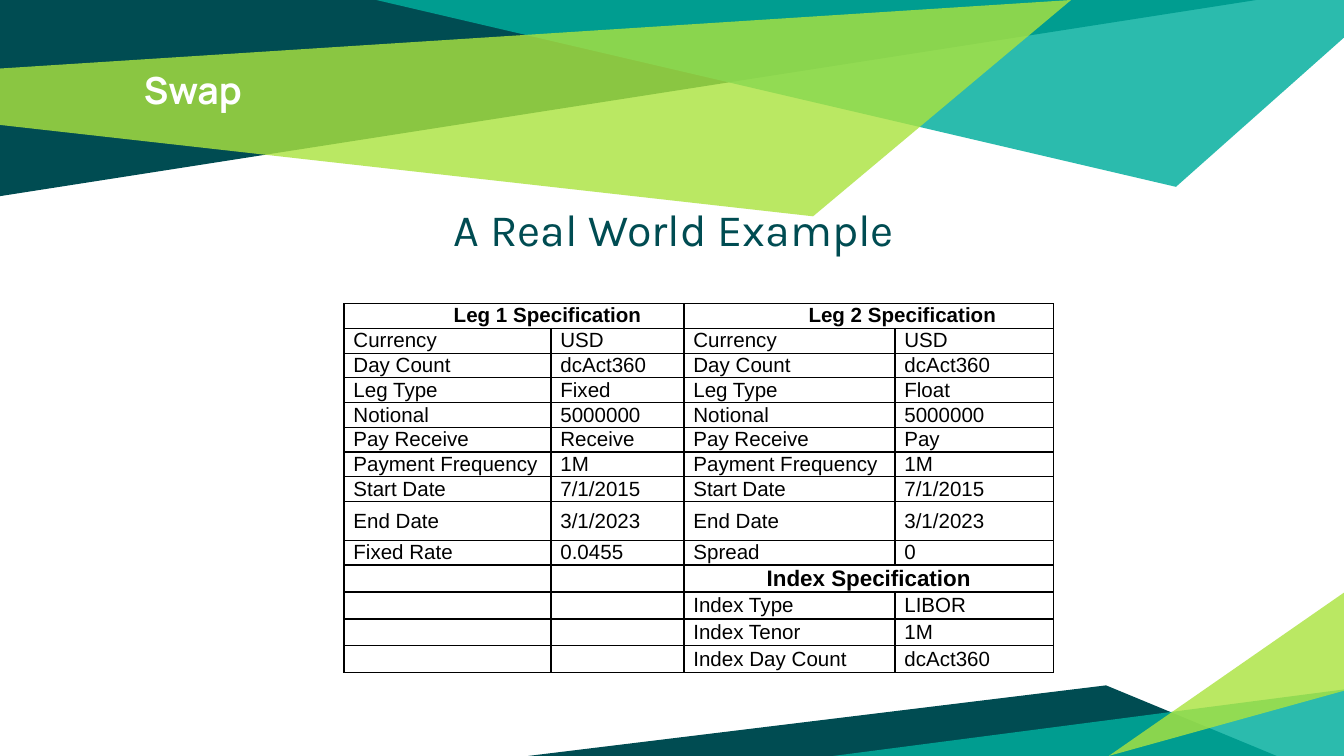
from lxml import etree
from pptx import Presentation
from pptx.dml.color import RGBColor
from pptx.enum.text import MSO_ANCHOR, PP_ALIGN
from pptx.oxml.ns import qn
from pptx.util import Inches, Pt

LEFT, CENTER = PP_ALIGN.LEFT, PP_ALIGN.CENTER
TOP, MIDDLE = MSO_ANCHOR.TOP, MSO_ANCHOR.MIDDLE
BLACK = RGBColor(0x00, 0x00, 0x00)
WHITE = RGBColor(0xFF, 0xFF, 0xFF)
DARK = RGBColor(0x00, 0x4C, 0x52)
TEAL = RGBColor(0x00, 0xAE, 0x9D)
LIME = RGBColor(0xAB, 0xE3, 0x3F)

W = 10
H = W * 9 / 16
prs = Presentation()
prs.slide_width, prs.slide_height = Inches(W), Inches(H)
s = prs.slides.add_slide(prs.slide_layouts[5])


def add_run(p, text, font, size, color, bold=False):
    r = p.add_run()
    r.text = text
    r.font.name, r.font.size, r.font.bold = font, Pt(size), bold
    r.font.color.rgb = color


def set_borders(cell):
    """Draw a thin black line on all four sides of the cell."""
    tcPr = cell._tc.get_or_add_tcPr()
    for i, side in enumerate(("a:lnL", "a:lnR", "a:lnT", "a:lnB")):
        ln = etree.Element(qn(side), w=str(Pt(0.75)))
        fill = etree.SubElement(ln, qn("a:solidFill"))
        etree.SubElement(fill, qn("a:srgbClr"), val=str(BLACK))
        tcPr.insert(i, ln)


# Decorative bands: colour, opacity in percent, corners
bands = [
    (DARK, 100, [(0, 0), (0, 1.46), (9.35, 0)]),
    (TEAL, 83, [(2.8, 0), (8.75, 1.39), (W, 0.28), (W, 0)]),
    (LIME, 81, [(0, 0.51), (0, 0.93), (6.05, 1.61), (7.97, 0)]),
    (DARK, 100, [(3.93, H), (9.5, H), (8.23, 5.1)]),
    (TEAL, 83, [(W, 5.13), (W, H), (6.2, H)]),
    (LIME, 81, [(W, 5.14), (W, 4.41), (8.25, H)]),
]
for color, opacity, corners in bands:
    points = [(Inches(x), Inches(y)) for x, y in corners]
    builder = s.shapes.build_freeform(*points[0])
    builder.add_line_segments(points[1:], close=True)
    sp = builder.convert_to_shape()
    sp.shadow.inherit = False
    sp.line.fill.background()
    sp.fill.solid()
    sp.fill.fore_color.rgb = color
    if opacity < 100:
        clr = sp._element.spPr.find(".//" + qn("a:srgbClr"))
        etree.SubElement(clr, qn("a:alpha"), val=str(opacity * 1000))

# Title, in front of the bands
title = s.shapes.title
s.shapes._spTree.append(title._element)
title.left, title.top = Inches(0.97), Inches(0.44)
title.width, title.height = Inches(8.06), Inches(0.64)
subtitle = s.shapes.add_textbox(Inches(0.75), Inches(1.4), Inches(8.45), Inches(4.09))
for sp in (title, subtitle):
    tf = sp.text_frame
    tf.word_wrap = True
    tf.vertical_anchor = TOP
    tf.margin_left = tf.margin_right = tf.margin_top = tf.margin_bottom = Inches(0.1)
p = title.text_frame.paragraphs[0]
p.alignment = LEFT
p.line_spacing = 0.9
add_run(p, "Swap", "Manrope", 20, WHITE, True)
p = subtitle.text_frame.paragraphs[0]
p.alignment = CENTER
p._p.get_or_add_pPr().set("marL", str(Inches(0.08)))
add_run(p, "A Real World Example", "Karla", 24, DARK)

# Swap terms
rows = [
    ("Leg 1 Specification", "", "Leg 2 Specification", ""),
    ("Currency", "USD", "Currency", "USD"),
    ("Day Count", "dcAct360", "Day Count", "dcAct360"),
    ("Leg Type", "Fixed", "Leg Type", "Float"),
    ("Notional", "5000000", "Notional", "5000000"),
    ("Pay Receive", "Receive", "Pay Receive", "Pay"),
    ("Payment Frequency", "1M", "Payment Frequency", "1M"),
    ("Start Date", "7/1/2015", "Start Date", "7/1/2015"),
    ("End Date", "3/1/2023", "End Date", "3/1/2023"),
    ("Fixed Rate", "0.0455", "Spread", "0"),
    ("", "", "Index Specification", ""),
    ("", "", "Index Type", "LIBOR"),
    ("", "", "Index Tenor", "1M"),
    ("", "", "Index Day Count", "dcAct360"),
]
END_DATE_ROW, INDEX_ROW = 8, 10
col_widths = [1.54, 0.99, 1.57, 1.18]
frame = s.shapes.add_table(len(rows), len(col_widths), Inches(2.56), Inches(2.26),
                           Inches(sum(col_widths)), Inches(2.57))
table = frame.table
table.first_row = table.horz_banding = False
for col, width in zip(table.columns, col_widths):
    col.width = Inches(width)
for i, row in enumerate(table.rows):
    row.height = Inches(0.29 if i == END_DATE_ROW else 0.17 if i < INDEX_ROW else 0.18)
for r, c in ((0, 0), (0, 2), (INDEX_ROW, 2)):
    table.cell(r, c).merge(table.cell(r, c + 1))

for i, texts in enumerate(rows):
    for j, text in enumerate(texts):
        cell = table.cell(i, j)
        cell.fill.background()
        set_borders(cell)
        cell.margin_left = cell.margin_right = Inches(0.07)
        cell.margin_top = cell.margin_bottom = 0
        cell.vertical_anchor = TOP if i == 0 else MIDDLE
        p = cell.text_frame.paragraphs[0]
        if not text:
            size = 12 if i >= INDEX_ROW else 11
            end = etree.SubElement(p._p, qn("a:endParaRPr"), sz=str(size * 100))
            etree.SubElement(end, qn("a:latin"), typeface="Arial")
            continue
        heading = cell.is_merge_origin
        p.alignment = CENTER if heading else LEFT
        if i == 0:
            p._p.get_or_add_pPr().set("marL", str(Inches(0.5)))
        add_run(p, text, "Arial", 12 if i == INDEX_ROW else 11, BLACK, heading)

prs.save("out.pptx")
